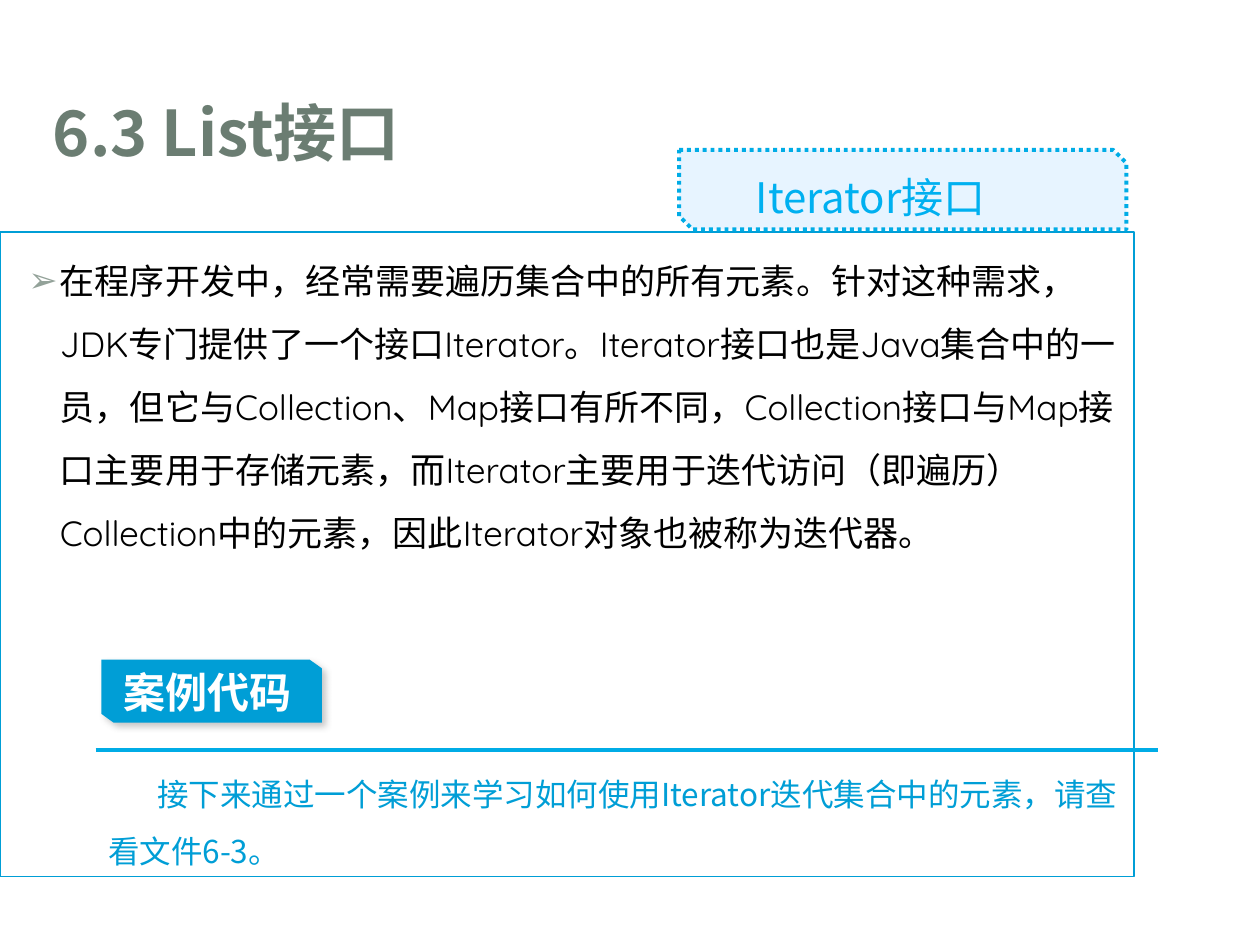
import pptx
import pptx.util
import pptx.dml.color
import pptx.enum.dml
import pptx.enum.shapes
import pptx.enum.text
import pptx.oxml
import pptx.oxml.ns

Pt = pptx.util.Pt
ALIGN = pptx.enum.text.PP_ALIGN
ANCHOR = pptx.enum.text.MSO_ANCHOR
SHAPE = pptx.enum.shapes.MSO_SHAPE

COLORS = {
    "title": "6B7D72", "body": "000000", "bullet": "93A299", "accent": "009ED6",
    "rule": "00ACE6", "tab_fill": "E7F4FF", "tab_text": "00B0F0",
    "white": "FFFFFF", "shadow": "808080",
}
SANS, ROUND = "Noto Sans CJK SC", "Quicksand"

TITLE = "6.3 List接口"
TAB = "Iterator接口"
BODY = (
    "在程序开发中，经常需要遍历集合中的所有元素。针对这种需求，JDK专门提供了一个接口Iterator。"
    "Iterator接口也是Java集合中的一员，但它与Collection、Map接口有所不同，"
    "Collection接口与Map接口主要用于存储元素，而Iterator主要用于迭代访问（即遍历）"
    "Collection中的元素，因此Iterator对象也被称为迭代器。"
)
LABEL = "案例代码"
NOTE = "接下来通过一个案例来学习如何使用Iterator迭代集合中的元素，请查看文件6-3。"

# left, top, width, height in points
BOXES = {
    "title": (23, 44.6, 625.7, 60.5),
    "body": (0, 132.5, 648, 368.6),
    "tab": (388.1, 85.7, 255.6, 45.4),
    "tab_text": (424.8, 84.2, 216, 41),
    "note": (54.7, 428.4, 594, 72.7),
    "label": (57.6, 376.6, 126.4, 36.7),
}
RULE = (54.7, 428.4, 661.7, 428.4)
CUT = (7.2, 5.8)


def rgb(name):
    return pptx.dml.color.RGBColor.from_string(COLORS[name])


def box(name):
    return [Pt(v) for v in BOXES[name]]


def set_format(obj, values):
    for name, value in values.items():
        setattr(obj, name, value)


def add_xml(parent, xml):
    ns = pptx.oxml.ns.nsdecls("a")
    parent.append(pptx.oxml.parse_xml(xml.replace(">", f" {ns}>", 1)))


def indent(p, left, first):
    p._p.get_or_add_pPr().set("marL", str(Pt(left)))
    p._p.get_or_add_pPr().set("indent", str(Pt(first)))


def write(sp, text, font, size, color, bold=False, frame=None, para=None):
    """Put one formatted paragraph in the shape and return it."""
    tf = sp.text_frame
    set_format(tf, {"word_wrap": True, "auto_size": pptx.enum.text.MSO_AUTO_SIZE.NONE,
                    "vertical_anchor": ANCHOR.TOP, **(frame or {})})
    p = tf.paragraphs[0]
    set_format(p, {"alignment": ALIGN.LEFT, **(para or {})})
    r = p.add_run()
    r.text = text
    set_format(r.font, {"name": font, "size": Pt(size), "bold": bold})
    r.font.color.rgb = rgb(color)
    add_xml(r._r.get_or_add_rPr(), f'<a:ea typeface="{SANS}"></a:ea>')
    return p


def place(sp, name):
    set_format(sp, dict(zip(("left", "top", "width", "height"), box(name))))


def outline(sp, color, width):
    sp.line.color.rgb = rgb(color)
    sp.line.width = Pt(width)


def fill(sp, color):
    sp.fill.solid()
    sp.fill.fore_color.rgb = rgb(color)


def add_label(shapes):
    """Draw the shadowed label with two opposite corners cut off."""
    x, y, w, h = BOXES["label"]
    dx, dy = CUT
    builder = shapes.build_freeform(x, y, scale=Pt(1))
    builder.add_line_segments([
        (x + w - dx, y), (x + w, y + dy), (x + w, y + h),
        (x + dx, y + h), (x, y + h - dy),
    ])
    sp = builder.convert_to_shape()
    fill(sp, "accent")
    sp.line.fill.background()
    add_xml(sp._element.spPr, (
        f'<a:effectLst><a:outerShdw blurRad="{Pt(4)}" dist="{Pt(3)}" dir="2700000">'
        f'<a:srgbClr val="{COLORS["shadow"]}"><a:alpha val="43000"/></a:srgbClr>'
        '</a:outerShdw></a:effectLst>'))
    write(sp, LABEL, SANS, 24, "white", True,
          {"vertical_anchor": ANCHOR.MIDDLE, "margin_left": Pt(12.5), "margin_right": 0})


def main():
    prs = pptx.Presentation()
    prs.slide_width, prs.slide_height = Pt(720), Pt(540)
    s = prs.slides.add_slide(prs.slide_layouts[1])
    title, body = s.placeholders

    place(title, "title")
    write(title, TITLE, SANS, 36, "title", True, {"vertical_anchor": ANCHOR.MIDDLE})

    place(body, "body")
    outline(body, "accent", 0.75)
    p = write(body, BODY, ROUND, 20, "body", para={"line_spacing": 1.5})
    indent(p, 27, -18)
    pPr = p._p.get_or_add_pPr()
    add_xml(pPr, f'<a:buClr><a:srgbClr val="{COLORS["bullet"]}"/></a:buClr>')
    add_xml(pPr, '<a:buChar char="➢"></a:buChar>')

    tab = s.shapes.add_shape(SHAPE.SNIP_2_DIAG_RECTANGLE, *box("tab"))
    tab.shadow.inherit = False
    fill(tab, "tab_fill")
    outline(tab, "rule", 2.25)
    tab.line.dash_style = pptx.enum.dml.MSO_LINE.ROUND_DOT
    write(s.shapes.add_textbox(*box("tab_text")), TAB, SANS, 24, "tab_text",
          para={"alignment": ALIGN.JUSTIFY, "line_spacing": 1.35})

    p = write(s.shapes.add_textbox(*box("note")), NOTE, SANS, 18, "accent",
              para={"line_spacing": 1.5})
    indent(p, 0, 28)

    add_label(s.shapes)

    rule = s.shapes.add_connector(pptx.enum.shapes.MSO_CONNECTOR.STRAIGHT,
                                  *[Pt(v) for v in RULE])
    outline(rule, "rule", 2.25)
    add_xml(rule._element.spPr, "<a:effectLst></a:effectLst>")

    prs.save("out.pptx")


if __name__ == "__main__":
    main()
